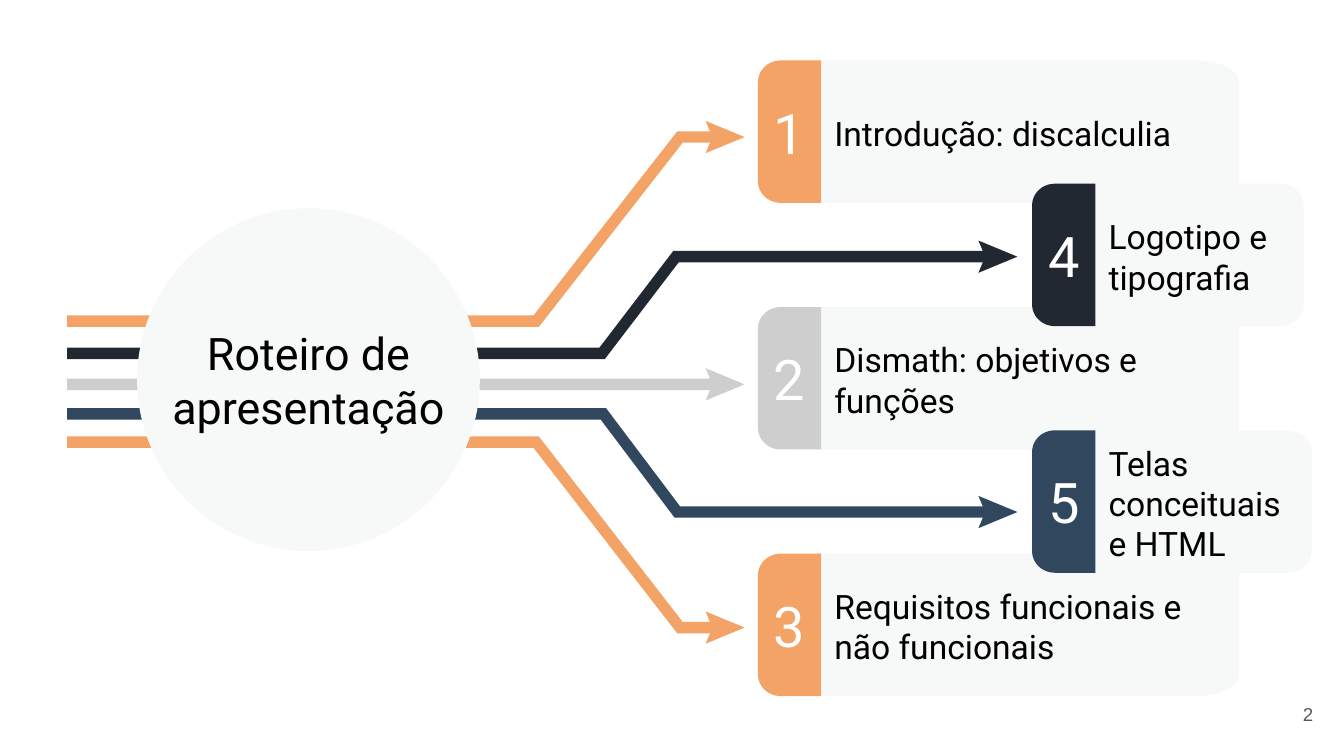
from math import cos, pi, sin

from pptx import Presentation
from pptx.dml.color import RGBColor
from pptx.enum.shapes import MSO_SHAPE
from pptx.enum.text import MSO_ANCHOR, MSO_AUTO_SIZE, PP_ALIGN
from pptx.util import Inches, Pt

COLORS = {
    "orange": "F2A365",
    "dark": "222831",
    "gray": "CECECE",
    "blue": "30475E",
    "panel": "F7F9F9",
    "black": "000000",
    "white": "FFFFFF",
    "page": "595959",
}

FIRST_TOP, LAST_TOP, CARD_HEIGHT = 0.45, 4.12, 1.06
CARD_STEP = (LAST_TOP - FIRST_TOP) / 4
TAB_WIDTH, LABEL_HEIGHT = 0.47, 0.39
LEFT_COLUMN, RIGHT_COLUMN = 5.64, 7.68
BAND_HALF, BEND_SHIFT = 0.17 / 4, 0.04

# number, text, color, row, card left, card width, text width
TOPICS = [
    ("3", "Requisitos funcionais e não funcionais", "orange", 4, LEFT_COLUMN, 3.58, 2.87),
    ("1", "Introdução: discalculia", "orange", 0, LEFT_COLUMN, 3.58, 2.87),
    ("2", "Dismath: objetivos e funções", "gray", 2, LEFT_COLUMN, 3.58, 2.87),
    ("4", "Logotipo e tipografia", "dark", 1, RIGHT_COLUMN, 2.02, 1.55),
    ("5", "Telas conceituais e HTML", "blue", 3, RIGHT_COLUMN, 2.08, 1.55),
]

# color, start y, end y, first bend x, second bend x, band end x
ROUTES = [
    ("gray", 2.86, 2.86, 3.97, 5.04, 5.34),
    ("orange", 2.39, 1.02, 3.97, 5.04, 5.34),
    ("dark", 2.63, 1.91, 4.46, 5.01, 7.37),
    ("blue", 3.08, 3.81, 4.47, 5.02, 7.37),
    ("orange", 3.29, 4.67, 3.97, 5.04, 5.34),
]


def paint(shape, color):
    shape.shadow.inherit = False
    shape.fill.solid()
    shape.fill.fore_color.rgb = RGBColor.from_string(COLORS[color])
    shape.line.fill.background()


def write(shape, text, size, color, align=PP_ALIGN.LEFT, font="Roboto"):
    frame = shape.text_frame
    frame.text = text
    frame.word_wrap = True
    frame.auto_size = MSO_AUTO_SIZE.NONE
    frame.vertical_anchor = MSO_ANCHOR.MIDDLE
    frame.margin_left = frame.margin_right = Inches(0.1)
    frame.margin_top = frame.margin_bottom = Inches(0.1)
    paragraph = frame.paragraphs[0]
    paragraph.alignment = align
    paragraph.font.size = Pt(size)
    paragraph.font.name = font
    paragraph.font.color.rgb = RGBColor.from_string(COLORS[color])


def add_outline(slide, points, color):
    corners = [(Inches(x), Inches(y)) for x, y in points]
    builder = slide.shapes.build_freeform(*corners[0])
    builder.add_line_segments(corners[1:], close=True)
    outline = builder.convert_to_shape()
    paint(outline, color)
    return outline


def add_label(slide, left, top, width, height, *text_format):
    label = slide.shapes.add_textbox(
        Inches(left), Inches(top), Inches(width), Inches(height))
    write(label, *text_format)


def add_route(slide, color, start_y, end_y, bend_1, bend_2, end_x):
    # Band: the edge facing the middle bends slightly later
    side = -1 if end_y > start_y else 1
    outer, inner = -side * BAND_HALF, side * BAND_HALF
    add_outline(slide, [
        (0.5, start_y + outer), (bend_1, start_y + outer),
        (bend_2, end_y + outer), (end_x, end_y + outer),
        (end_x, end_y + inner), (bend_2 + BEND_SHIFT, end_y + inner),
        (bend_1 + BEND_SHIFT, start_y + inner), (0.5, start_y + inner),
    ], color)
    # Notched arrowhead
    back = end_x - 0.09
    add_outline(slide, [(back, end_y - 0.12), (back + 0.05, end_y),
                        (back, end_y + 0.12), (back + 0.29, end_y)], color)


def corner_arc(center_x, center_y, radius_x, radius_y, start, steps=12):
    angles = [start + pi / 2 * i / steps for i in range(steps + 1)]
    return [(center_x + radius_x * cos(a), center_y + radius_y * sin(a)) for a in angles]


def add_panel(slide, left, top, width, color, radius_x, round_right):
    radius_y = 0.16
    right, bottom = left + width, top + CARD_HEIGHT
    points = corner_arc(left + radius_x, bottom - radius_y, radius_x, radius_y, pi / 2)
    points += corner_arc(left + radius_x, top + radius_y, radius_x, radius_y, pi)
    if round_right:
        points += corner_arc(right - radius_x, top + radius_y, radius_x, radius_y, 1.5 * pi)
        points += corner_arc(right - radius_x, bottom - radius_y, radius_x, radius_y, 0)
    else:
        points += [(right, top), (right, bottom)]
    return add_outline(slide, points, color)


def add_card(slide, number, text, color, row, left, width, text_width):
    top = FIRST_TOP + row * CARD_STEP
    add_panel(slide, left, top, width, "panel", width * 0.09, True)
    tab = add_panel(slide, left, top, TAB_WIDTH, color, 0.17, False)
    write(tab, number, 30, "white", PP_ALIGN.CENTER)
    add_label(slide, left + TAB_WIDTH, top + (CARD_HEIGHT - LABEL_HEIGHT) / 2 + 0.01,
              text_width, LABEL_HEIGHT, text, 18, "black")


def add_title_circle(slide):
    box = [Inches(v) for v in (1.02, 1.55, 2.55, 2.55)]
    paint(slide.shapes.add_shape(MSO_SHAPE.OVAL, *box), "panel")
    title = slide.shapes.title
    title.left, title.top, title.width, title.height = box
    write(title, "Roteiro de apresentação", 24, "black", PP_ALIGN.CENTER)
    # Bring the title in front of the circle
    slide.shapes._spTree.append(title._element)


def main():
    prs = Presentation()
    prs.slide_width = Inches(10)
    prs.slide_height = Inches(10) * 9 // 16
    slide = prs.slides.add_slide(prs.slide_layouts[5])

    # Routes run behind the circle
    for route in ROUTES:
        add_route(slide, *route)
    add_title_circle(slide)

    # Numbered topics
    for topic in TOPICS:
        add_card(slide, *topic)

    # Page number
    add_label(slide, 9.27, 5.1, 0.6, 0.43, "2", 10, "page", PP_ALIGN.RIGHT, "Arial")

    prs.save("out.pptx")


if __name__ == "__main__":
    main()
